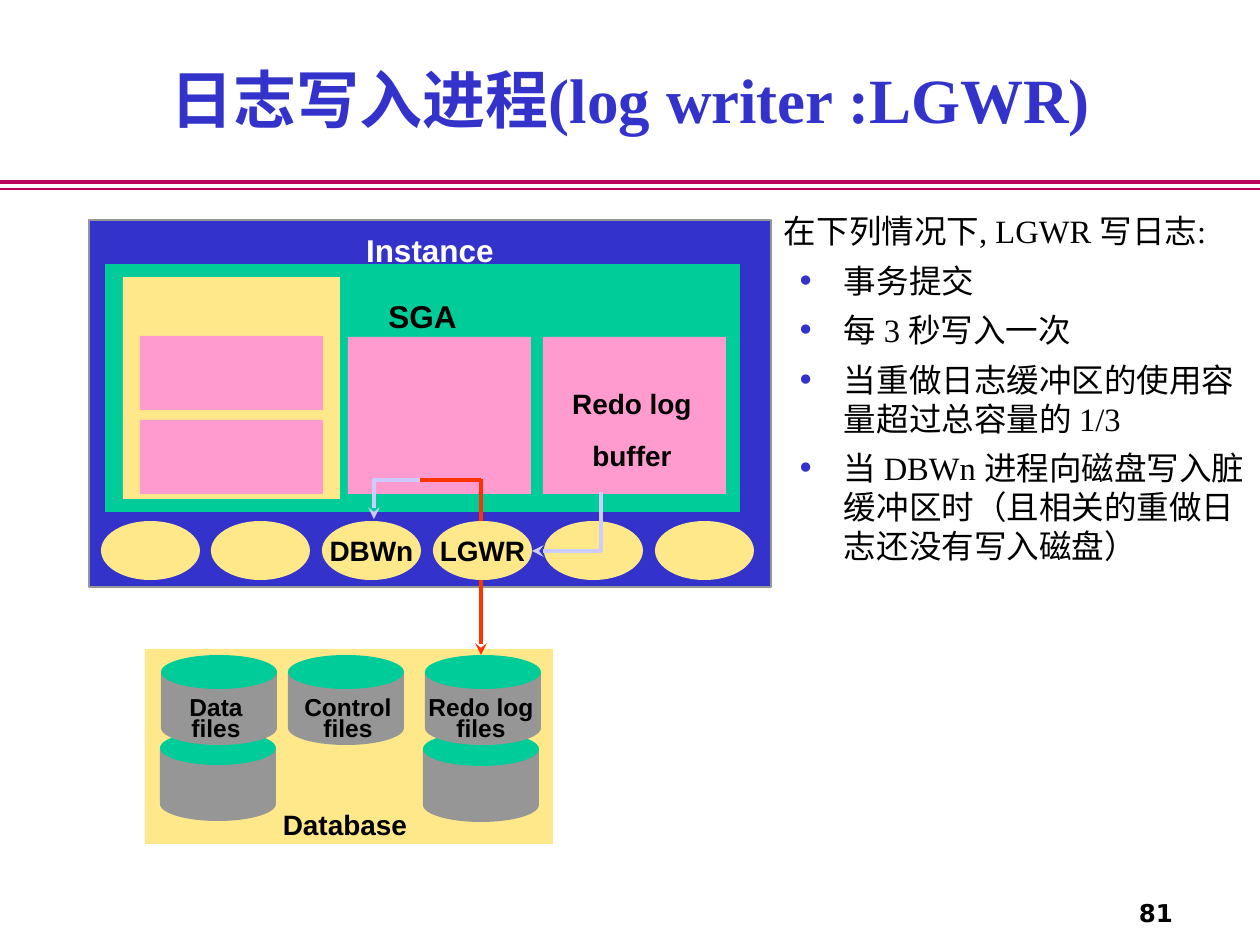
from dataclasses import dataclass

from lxml.etree import SubElement
from pptx import Presentation
from pptx.dml.color import RGBColor
from pptx.enum.shapes import MSO_CONNECTOR, MSO_SHAPE
from pptx.enum.text import MSO_ANCHOR, PP_ALIGN
from pptx.oxml.ns import qn
from pptx.util import Emu, Pt


@dataclass(frozen=True)
class Theme:
    blue: str = "3333CC"
    green: str = "00CC99"
    pink: str = "FF9BCE"
    yellow: str = "FFE88A"
    gray: str = "969696"
    lavender: str = "CCCCFF"
    red: str = "FF3300"
    rule: str = "BA005D"
    black: str = "000000"
    white: str = "FFFFFF"
    title_size: float = 36
    body_size: float = 18.6
    heading_size: float = 18
    label_size: float = 16
    small_size: float = 14
    serif: str = "Times New Roman"
    sans: str = "Arial"
    number_font: str = "DejaVu Sans"


THEME = Theme()
EMU_PER_PX = 914400 / 126


def px(value):
    return Emu(round(value * EMU_PER_PX))


def color(value):
    return RGBColor.from_string(value)


def add_bullet(para):
    properties = para._p.get_or_add_pPr()
    properties.set("marL", str(px(60)))
    properties.set("indent", str(-px(45)))
    tint = SubElement(properties, qn("a:buClr"))
    SubElement(tint, qn("a:srgbClr"), val=THEME.blue)
    SubElement(properties, qn("a:buSzPct"), val="120000")
    SubElement(properties, qn("a:buFont"), typeface=THEME.serif)
    SubElement(properties, qn("a:buChar"), char="•")


def write_text(shape, text, *, size=THEME.label_size, font=THEME.sans, tint=THEME.black,
               bold=True, align=PP_ALIGN.CENTER, anchor=MSO_ANCHOR.TOP, wrap=True,
               inset_top=6, inset_side=13, gap=0, line_spacing=None, bullets_from=None):
    frame = shape.text_frame
    frame.word_wrap = wrap
    frame.vertical_anchor = anchor
    frame.margin_left = frame.margin_right = px(inset_side)
    frame.margin_top, frame.margin_bottom = px(inset_top), px(6)
    for index, line in enumerate(text.split("\n")):
        para = frame.paragraphs[0] if index == 0 else frame.add_paragraph()
        if bullets_from is not None and index >= bullets_from:
            add_bullet(para)
        para.alignment = align
        if index:
            para.space_before = Pt(gap)
        if line_spacing:
            para.line_spacing = line_spacing
        span = para.add_run()
        span.text = line
        span.font.size = Pt(size)
        span.font.name = font
        span.font.bold = bold
        span.font.color.rgb = color(tint)


def add_text(page, text, left, top, width, height, **style):
    box = page.shapes.add_textbox(px(left), px(top), px(width), px(height))
    write_text(box, text, **style)
    return box


def add_block(shapes, left, top, width, height, fill, kind=MSO_SHAPE.RECTANGLE, outline=None):
    block = shapes.add_shape(kind, px(left), px(top), px(width), px(height))
    block.shadow.inherit = False
    block.fill.solid()
    block.fill.fore_color.rgb = color(fill)
    if outline:
        block.line.color.rgb = color(outline)
        block.line.width = Pt(1)
    else:
        block.line.fill.background()
    return block


def style_line(shape, tint, width, arrow):
    shape.line.color.rgb = color(tint)
    shape.line.width = Pt(width)
    if arrow:
        SubElement(shape.line._get_or_add_ln(), qn("a:tailEnd"), type="stealth")


def add_line(page, start, end, tint, width=2.25, arrow=False):
    line = page.shapes.add_connector(MSO_CONNECTOR.STRAIGHT, *map(px, start + end))
    style_line(line, tint, width, arrow)
    SubElement(line._element.spPr, qn("a:effectLst"))


def add_bent_arrow(page, points):
    corners = [(px(x), px(y)) for x, y in points]
    builder = page.shapes.build_freeform(*corners[0], scale=1.0)
    builder.add_line_segments(corners[1:], close=False)
    arrow = builder.convert_to_shape()
    arrow.shadow.inherit = False
    arrow.fill.background()
    style_line(arrow, THEME.lavender, 2.25, True)


def add_cylinder(page, left, top):
    shapes = page.shapes.add_group_shape().shapes
    add_block(shapes, left, top + 18, 116, 54, THEME.gray)
    add_block(shapes, left, top, 116, 34, THEME.green, MSO_SHAPE.OVAL)
    add_block(shapes, left, top + 56, 116, 34, THEME.gray, MSO_SHAPE.OVAL)


def add_process(page, index, name=""):
    oval = add_block(page.shapes, 101 + 554 * index // 5, 521, 99, 59,
                     THEME.yellow, MSO_SHAPE.OVAL)
    if name:
        write_text(oval, name, anchor=MSO_ANCHOR.MIDDLE, wrap=False)


def add_header(page):
    add_line(page, (0, 182), (1260, 182), THEME.rule)
    add_line(page, (0, 189), (1260, 189), THEME.rule, width=1)
    title = page.shapes.title
    title.left, title.top, title.width, title.height = map(px, (95, 19, 1071, 158))
    write_text(title, "日志写入进程(log writer :LGWR)", size=THEME.title_size,
               font=THEME.serif, tint=THEME.blue, anchor=MSO_ANCHOR.MIDDLE)


def add_conditions(page):
    lines = ["在下列情况下, LGWR 写日志:", "事务提交", "每 3 秒写入一次",
             "当重做日志缓冲区的使用容量超过总容量的 1/3",
             "当 DBWn 进程向磁盘写入脏缓冲区时（且相关的重做日志还没有写入磁盘）"]
    add_text(page, "\n".join(lines), 771, 205, 489, 408, size=THEME.body_size,
             font=THEME.serif, bold=False, align=PP_ALIGN.LEFT, gap=6, bullets_from=1)


def add_instance(page):
    instance = add_block(page.shapes, 89, 220, 682, 367, THEME.blue, outline=THEME.gray)
    write_text(instance, "Instance", size=THEME.heading_size, tint=THEME.white, inset_top=11)
    sga = add_block(page.shapes, 105, 264, 635, 248, THEME.green)
    write_text(sga, "SGA", size=THEME.heading_size, inset_top=33)
    add_block(page.shapes, 123, 277, 217, 222, THEME.yellow)
    for left, top, height in ((140, 336, 74), (140, 420, 74), (348, 337, 157), (543, 337, 157)):
        add_block(page.shapes, left, top, 183, height, THEME.pink)
    add_text(page, "Redo log\nbuffer", 544, 381, 176, 100, gap=10)
    for index, name in enumerate(("", "", "DBWn", None, "", "")):
        if name is not None:
            add_process(page, index, name)


def add_database(page):
    add_block(page.shapes, 145, 649, 408, 195, THEME.yellow)
    for left, top in ((160, 731), (423, 732), (161, 655), (288, 655), (425, 655)):
        add_cylinder(page, left, top)
    for text, left, width in (("Data files", 161, 110), ("Control files", 280, 136),
                              ("Redo log files", 409, 144)):
        add_text(page, text, left, 693, width, 55, size=THEME.small_size,
                 inset_side=14, inset_top=7, line_spacing=0.7)
    add_text(page, "Database", 262, 802, 166, 44)


def add_log_flow(page):
    add_bent_arrow(page, [(601, 492), (601, 551), (532, 551)])
    add_line(page, (481, 479), (481, 655), THEME.red, arrow=True)
    add_bent_arrow(page, [(425, 480), (374, 480), (374, 519)])
    add_line(page, (420, 480), (481, 480), THEME.red)
    add_process(page, 3, "LGWR")


def main():
    deck = Presentation()
    deck.slide_width, deck.slide_height = px(1260), px(945)
    page = deck.slides.add_slide(deck.slide_layouts[5])
    add_header(page)
    add_conditions(page)
    add_instance(page)
    add_database(page)
    add_log_flow(page)
    add_text(page, "81", 1113, 892, 73, 42, size=THEME.small_size, font=THEME.number_font,
             align=PP_ALIGN.RIGHT, anchor=MSO_ANCHOR.MIDDLE)
    deck.save("out.pptx")


if __name__ == "__main__":
    main()
